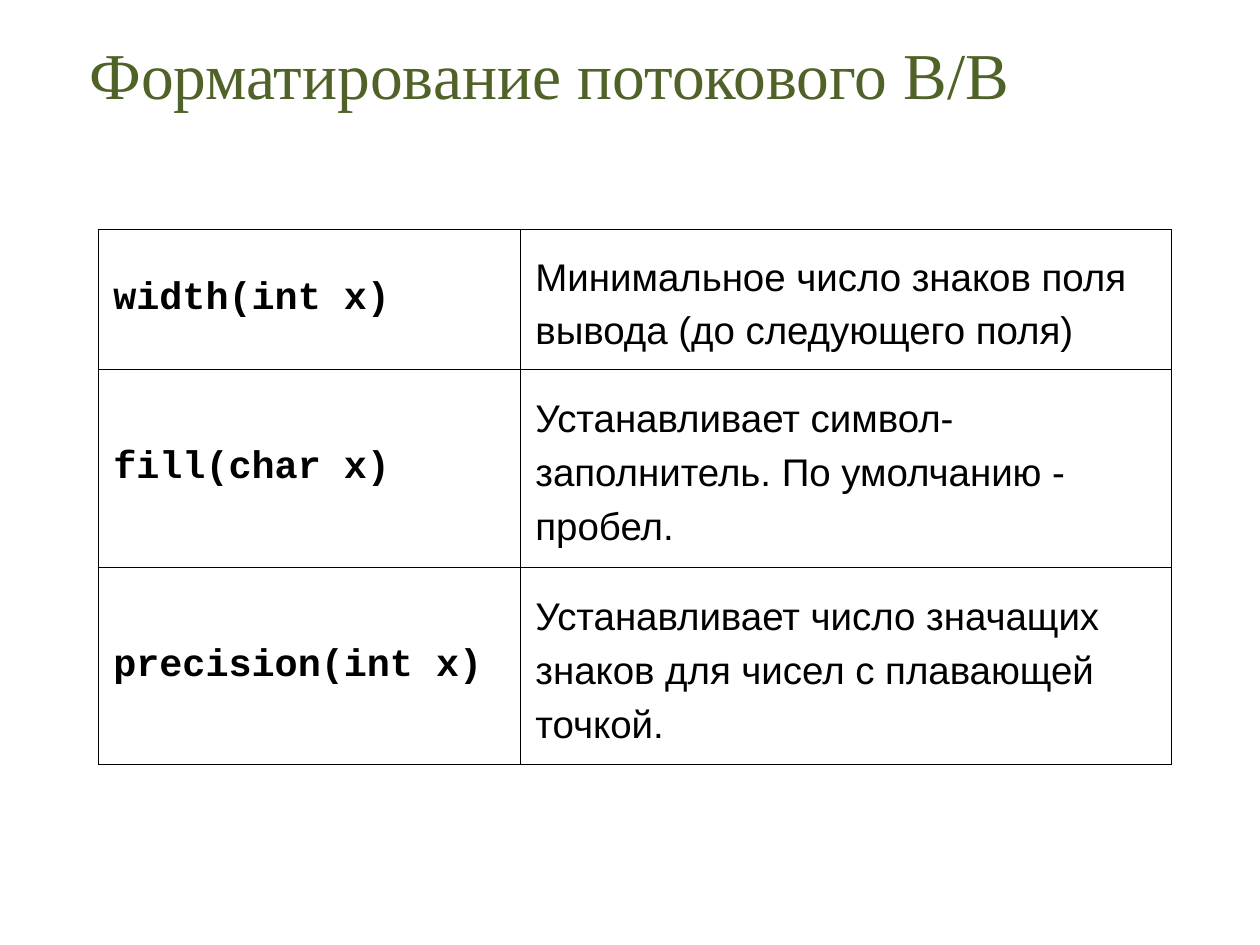
from typing import NamedTuple

from lxml import etree
from pptx import Presentation, util as u
from pptx.dml.color import RGBColor
from pptx.enum import text
from pptx.oxml.ns import qn


class Method(NamedTuple):
    """A stream formatting method and what it does."""
    signature: str
    description: str
    height: float


METHODS = [
    Method("width(int x)", "Минимальное число знаков поля вывода (до следующего поля)", 1.11),
    Method("fill(char x)", "Устанавливает символ-заполнитель. По умолчанию - пробел.", 1.57),
    Method("precision(int x)", "Устанавливает число значащих знаков для чисел с плавающей точкой.", 1.57),
]
COLUMN_WIDTHS = (3.35, 5.17)


def color(value: str) -> RGBColor:
    return RGBColor.from_string(value)


def style_font(paragraph, name: str, size: float, value: str, bold: bool = False) -> None:
    font = paragraph.font
    font.name, font.size, font.bold = name, u.Pt(size), bold
    font.color.rgb = color(value)


def add_borders(cell, value: str, width: float) -> None:
    properties = cell._tc.get_or_add_tcPr()
    for position, side in enumerate(("lnL", "lnR", "lnT", "lnB")):
        line = etree.Element(qn(f"a:{side}"), w=str(u.Pt(width)))
        fill = etree.SubElement(line, qn("a:solidFill"))
        etree.SubElement(fill, qn("a:srgbClr"), val=value)
        properties.insert(position, line)


def fill_cell(cell, content: str, is_code: bool) -> None:
    cell.fill.solid()
    cell.fill.fore_color.rgb = color("FFFFFF")
    cell.vertical_anchor = text.MSO_ANCHOR.MIDDLE
    cell.margin_left = cell.margin_right = u.Inches(0.12)
    cell.margin_top = cell.margin_bottom = u.Inches(0.05)
    cell.text = content
    paragraph = cell.text_frame.paragraphs[0]
    style_font(paragraph, "Courier New" if is_code else "Arial", 22, "000000", is_code)
    if not is_code:
        paragraph.line_spacing = 1.25
        paragraph.space_before = paragraph.space_after = u.Pt(6)
    add_borders(cell, "000000", 0.45)


def add_title(slide, content: str) -> None:
    box = slide.shapes.add_textbox(u.Inches(0.31), u.Inches(0.23), u.Inches(9.3), u.Inches(0.78))
    frame = box.text_frame
    frame.word_wrap = True
    frame.vertical_anchor = text.MSO_ANCHOR.MIDDLE
    frame.margin_left = u.Inches(0.4)
    paragraph = frame.paragraphs[0]
    paragraph.text = content
    paragraph.line_spacing = 0.9
    style_font(paragraph, "Times New Roman", 37.4, "4F6228")


def add_method_table(slide, methods: list[Method]) -> None:
    height = sum(method.height for method in methods)
    shape = slide.shapes.add_table(
        len(methods), len(COLUMN_WIDTHS), u.Inches(0.78), u.Inches(1.82),
        u.Inches(sum(COLUMN_WIDTHS)), u.Inches(height))
    table = shape.table
    table.first_row = table.horz_banding = False
    for column, width in zip(table.columns, COLUMN_WIDTHS):
        column.width = u.Inches(width)
    for row, method in zip(table.rows, methods):
        row.height = u.Inches(method.height)
        fill_cell(row.cells[0], method.signature, True)
        fill_cell(row.cells[1], method.description, False)


def main() -> None:
    """Build the slide on formatting stream input and output."""
    presentation = Presentation()
    presentation.slide_width, presentation.slide_height = u.Inches(10), u.Inches(7.5)
    slide = presentation.slides.add_slide(presentation.slide_layouts[6])
    add_title(slide, "Форматирование потокового В/В")
    add_method_table(slide, METHODS)
    presentation.save("out.pptx")


if __name__ == "__main__":
    main()
